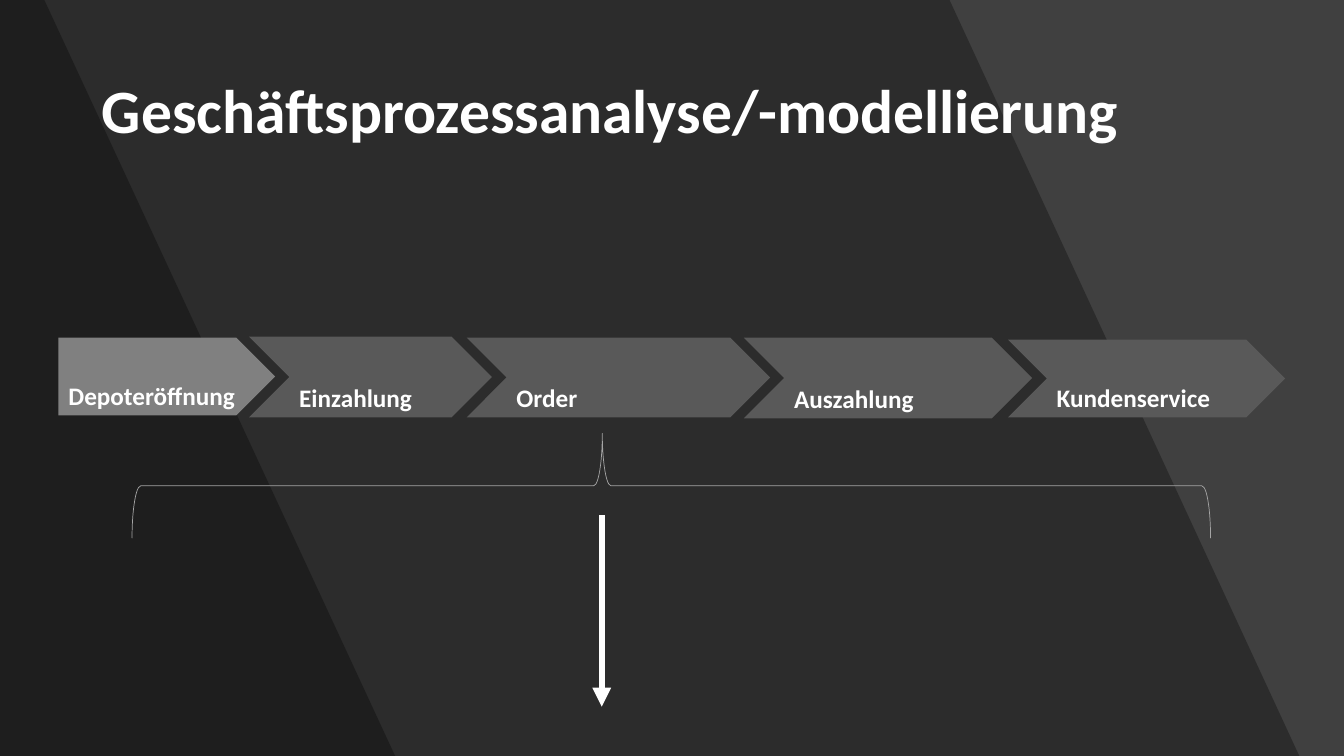
import pptx
import pptx.util
import pptx.dml.color
import pptx.enum.shapes
import pptx.enum.text
import pptx.oxml
import pptx.oxml.ns
import lxml.etree

Pt = pptx.util.Pt
MSO_SHAPE = pptx.enum.shapes.MSO_SHAPE
ANCHOR = pptx.enum.text.MSO_ANCHOR
ALIGN = pptx.enum.text.PP_ALIGN
qn = pptx.oxml.ns.qn

FONT = "Calibri"
COLORS = {
    "background": "404040",
    "band": "000000",
    "first_step": "808080",
    "step": "595959",
    "text": "FFFFFF",
    "brace": "A5A5A5",
    "arrow": "FFFFFF",
}
STEPS = [
    ("Depoteröffnung", 41.76, 241.2, 154.8, 55.44),
    ("Einzahlung", 177.84, 240.48, 173.52, 57.6),
    ("Order", 333.36, 241.2, 216.72, 56.88),
    ("Auszahlung", 531.36, 241.2, 205.92, 57.6),
    ("Kundenservice", 720, 242.64, 198, 55.44),
]


def rgb(name):
    return pptx.dml.color.RGBColor.from_string(COLORS[name])


def paint(fill, name):
    fill.solid()
    fill.fore_color.rgb = rgb(name)


def style_text(p, size):
    p.alignment = ALIGN.LEFT
    p.font.name = FONT
    p.font.size = Pt(size)
    p.font.bold = True
    p.font.color.rgb = rgb("text")


def add_band(s, x, y, top_width, bottom_width, h):
    fb = s.shapes.build_freeform(Pt(x), Pt(y))
    fb.add_line_segments([
        (Pt(x + top_width), Pt(y)),
        (Pt(x + bottom_width), Pt(y + h)),
        (Pt(x), Pt(y + h)),
    ])
    sp = fb.convert_to_shape()
    sp.shadow.inherit = False
    paint(sp.fill, "band")
    sp.line.fill.background()
    color = sp.element.spPr.find(qn("a:solidFill"))[0]
    lxml.etree.SubElement(color, qn("a:alpha")).set("val", "30000")


def add_background(s, x, y, h):
    paint(s.background.fill, "background")
    add_band(s, x, y, 678.24, 928.08, h)
    add_band(s, x, y, 31.68, 282.24, h)


def add_title(s, x, y, w, h):
    title = s.shapes.title
    title.element.getparent().append(title.element)
    title.left, title.top, title.width, title.height = Pt(x), Pt(y), Pt(w), Pt(h)
    tf = title.text_frame
    tf.text = "Geschäftsprozessanalyse/-modellierung"
    tf.word_wrap = True
    tf.vertical_anchor = ANCHOR.MIDDLE
    p = tf.paragraphs[0]
    p.line_spacing = 0.9
    style_text(p, 44)


def add_brace(s, x, y, w, h):
    sp = s.shapes.add_shape(
        MSO_SHAPE.LEFT_BRACE,
        Pt(x + (w - h) / 2), Pt(y + (h - w) / 2), Pt(h), Pt(w))
    sp.rotation = 90
    sp.adjustments[0] = 0.083
    sp.adjustments[1] = 0.564
    sp.shadow.inherit = False
    sp.fill.background()
    sp.line.color.rgb = rgb("brace")
    sp.line.width = Pt(0.5)


def add_down_arrow(s, x, y, h):
    cx = s.shapes.add_connector(
        pptx.enum.shapes.MSO_CONNECTOR.STRAIGHT, Pt(x), Pt(y), Pt(x), Pt(y + h))
    cx.line.color.rgb = rgb("arrow")
    cx.line.width = Pt(4.5)
    ln = cx.line._get_or_add_ln()
    lxml.etree.SubElement(ln, qn("a:tailEnd")).set("type", "triangle")
    lxml.etree.SubElement(cx.element.spPr, qn("a:effectLst"))


def add_step(s, label, x, y, w, h, first):
    kind = MSO_SHAPE.PENTAGON if first else MSO_SHAPE.CHEVRON
    sp = s.shapes.add_shape(kind, Pt(x), Pt(y), Pt(w), Pt(h))
    sp.shadow.inherit = False
    paint(sp.fill, "first_step" if first else "step")
    sp.line.fill.background()
    tf = sp.text_frame
    tf.text = label
    tf.word_wrap = True
    tf.vertical_anchor = ANCHOR.BOTTOM
    style_text(tf.paragraphs[0], 18)


def main():
    prs = pptx.Presentation()
    prs.slide_width, prs.slide_height = Pt(960), Pt(540)
    s = prs.slides.add_slide(prs.slide_layouts[5])
    add_background(s, 0, 0, 540)
    add_title(s, 65.52, 28.8, 828.72, 104.4)
    add_brace(s, 94.32, 309.6, 770.4, 74.88)
    add_down_arrow(s, 429.84, 367.92, 136.8)
    for i, (label, x, y, w, h) in enumerate(STEPS):
        add_step(s, label, x, y, w, h, i == 0)
    prs.save("out.pptx")


if __name__ == "__main__":
    main()
